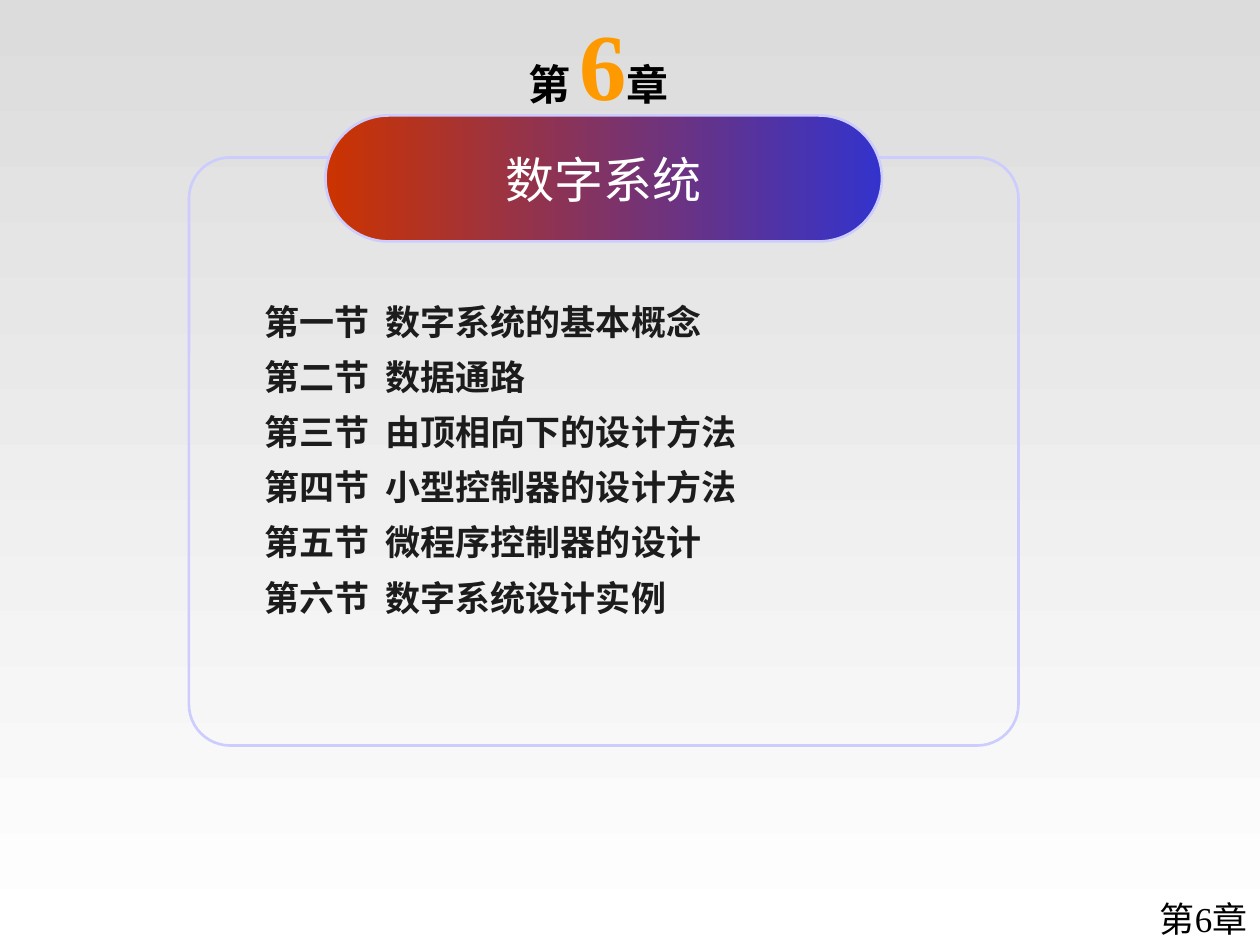
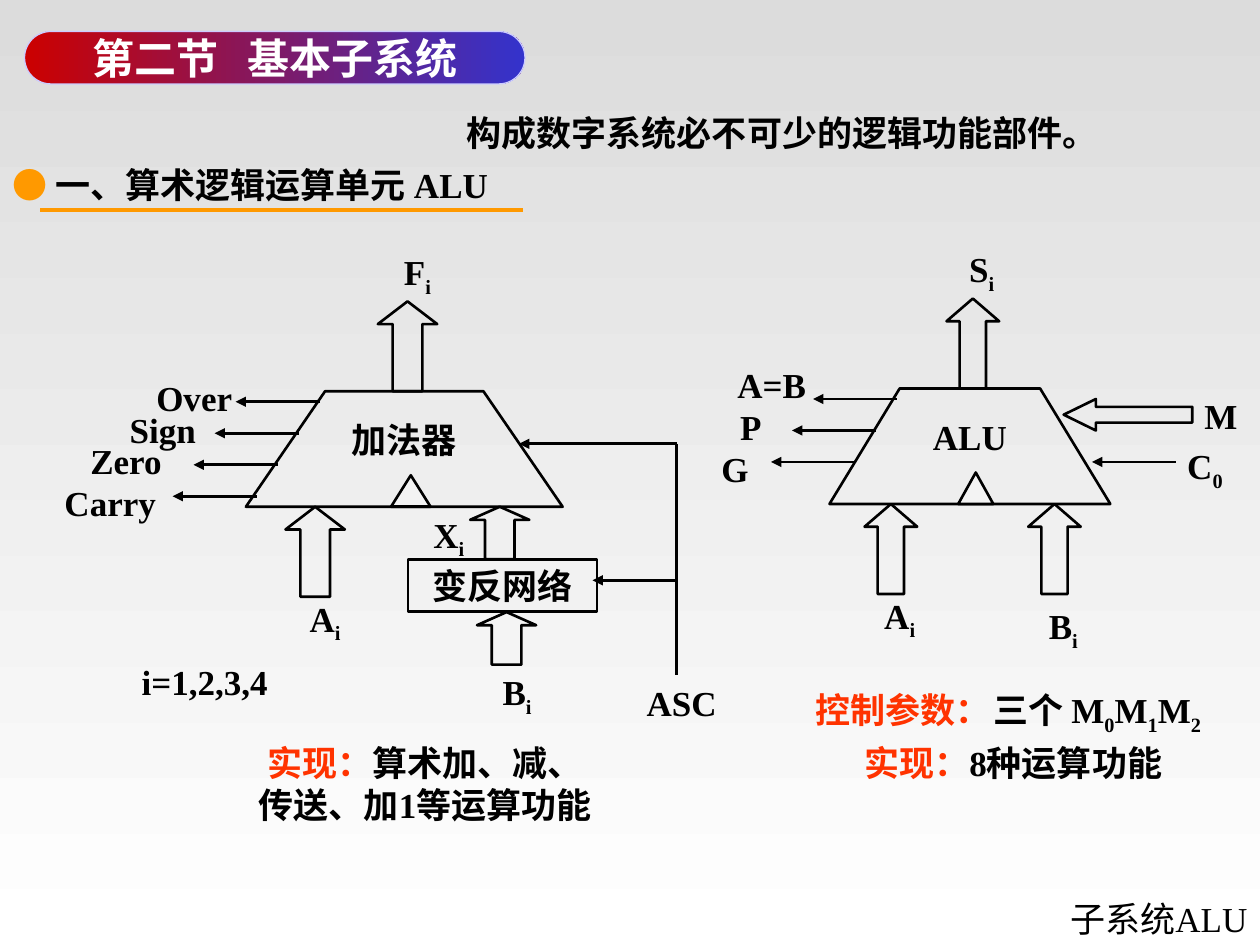
from dataclasses import dataclass

import pptx
import pptx.dml.color
import pptx.enum.shapes
import pptx.enum.text
import pptx.oxml.ns
import pptx.util
from lxml import etree

Pt = pptx.util.Pt
RGBColor = pptx.dml.color.RGBColor
Shape = pptx.enum.shapes.MSO_SHAPE
Align = pptx.enum.text.PP_ALIGN
Anchor = pptx.enum.text.MSO_ANCHOR

BLACK = RGBColor(0x00, 0x00, 0x00)
WHITE = RGBColor(0xFF, 0xFF, 0xFF)
SKY_TOP = RGBColor(0xDC, 0xDC, 0xDC)
INK = RGBColor(0x1C, 0x1C, 0x1C)
ORANGE = RGBColor(0xFF, 0x99, 0x00)
VERMILION = RGBColor(0xFF, 0x33, 0x00)
RUST = RGBColor(0xCC, 0x33, 0x00)
RED = RGBColor(0xCC, 0x00, 0x00)
BLUE = RGBColor(0x33, 0x33, 0xCC)
LAVENDER = RGBColor(0xCC, 0xCC, 0xFF)
CLOCK_GREY = RGBColor(0xF3, 0xF3, 0xF3)
SERIF = "Times New Roman"
SECTIONS = [
    "第一节  数字系统的基本概念",
    "第二节  数据通路",
    "第三节  由顶相向下的设计方法",
    "第四节  小型控制器的设计方法",
    "第五节  微程序控制器的设计",
    "第六节  数字系统设计实例",
]


@dataclass
class Span:
    text: str
    colour: RGBColor = None
    size: float = None
    bold: bool = None
    subscript: bool = False


def symbol(letter, index):
    return [Span(letter), Span(index, subscript=True)]


def set_font(font, size=20, colour=BLACK, bold=True, name=SERIF):
    font.name = name
    font.size = Pt(size)
    font.bold = bold
    font.color.rgb = colour


def set_gradient(fill, start, end, angle):
    fill.gradient()
    fill.gradient_angle = angle
    for stop, colour in zip(fill.gradient_stops, (start, end)):
        stop.color.rgb = colour


def place(shape, left, top, width, height):
    shape.left, shape.top = Pt(left), Pt(top)
    shape.width, shape.height = Pt(width), Pt(height)


def start_page(deck, layout, footer, left, width):
    page = deck.slides.add_slide(deck.slide_layouts[layout])
    set_gradient(page.background.fill, SKY_TOP, WHITE, 270)
    title = page.shapes.title
    place(title, left, 509.5, width, 30.5)
    title.text_frame.text = footer
    title.text_frame.auto_size = pptx.enum.text.MSO_AUTO_SIZE.NONE
    title.text_frame.vertical_anchor = Anchor.MIDDLE
    para = title.text_frame.paragraphs[0]
    para.alignment = Align.RIGHT
    set_font(para.font, bold=False)
    return page


def add_label(page, left, top, width, spans, height=32, align=Align.CENTER):
    if isinstance(spans, str):
        spans = [Span(spans)]
    box = page.shapes.add_textbox(Pt(left), Pt(top), Pt(width), Pt(height))
    box.text_frame.word_wrap = True
    para = box.text_frame.paragraphs[0]
    para.alignment = align
    set_font(para.font)
    for span in spans:
        run = para.add_run()
        run.text = span.text
        if span.colour is not None:
            run.font.color.rgb = span.colour
        if span.size is not None:
            run.font.size = Pt(span.size)
        if span.bold is not None:
            run.font.bold = span.bold
        if span.subscript:
            run._r.get_or_add_rPr().set("baseline", "-25000")


def outline(shape, colour=BLACK, width=1.5):
    shape.shadow.inherit = False
    shape.fill.background()
    shape.line.color.rgb = colour
    shape.line.width = Pt(width)


def add_outlined(page, kind, left, top, width, height, colour=BLACK, line_width=1.5):
    shape = page.shapes.add_shape(kind, Pt(left), Pt(top), Pt(width), Pt(height))
    outline(shape, colour, line_width)
    return shape


def write_inside(shape, text, **font):
    frame = shape.text_frame
    frame.vertical_anchor = Anchor.MIDDLE
    frame.word_wrap = False
    frame.text = text
    frame.paragraphs[0].alignment = Align.CENTER
    set_font(frame.paragraphs[0].font, **font)


def add_pill(page, left, top, width, height, text, start, line_width, **font):
    pill = add_outlined(page, Shape.ROUNDED_RECTANGLE, left, top, width, height,
                        LAVENDER, line_width)
    pill.adjustments[0] = 0.5
    set_gradient(pill.fill, start, BLUE, 0)
    frame = pill.text_frame
    frame.margin_left = frame.margin_right = frame.margin_top = frame.margin_bottom = 0
    write_inside(pill, text, colour=WHITE, **font)


def add_line(page, start, end, colour=BLACK, width=1.5, arrow=False):
    line = page.shapes.add_connector(
        pptx.enum.shapes.MSO_CONNECTOR.STRAIGHT, *map(Pt, (*start, *end)))
    line.line.color.rgb = colour
    line.line.width = Pt(width)
    if arrow:
        head = etree.SubElement(line.line._get_or_add_ln(), pptx.oxml.ns.qn("a:headEnd"))
        head.set("type", "triangle")
    etree.SubElement(line._element.spPr, pptx.oxml.ns.qn("a:effectLst"))


def add_block_arrow(page, kind, left, top, width, height, head):
    arrow = add_outlined(page, kind, left, top, width, height)
    arrow.adjustments[0] = 0.5
    arrow.adjustments[1] = head / min(width, height)


def add_unit(page, left, top, width, name, output):
    height, arrow_height, head = 66, 51.4, 13
    bottom = top + height
    arrow_width = width * 3 / 16

    def across(share):
        return left + width * share

    corners = [(left, bottom), (across(1 / 4), top),
               (across(3 / 4), top), (left + width, bottom)]
    points = [(Pt(x), Pt(y)) for x, y in corners]
    builder = page.shapes.build_freeform(*points[0])
    builder.add_line_segments(points[1:], close=True)
    outline(builder.convert_to_shape())

    clock_left, clock_width = across(11 / 24), width / 8
    clock = add_outlined(page, Shape.ISOSCELES_TRIANGLE,
                         clock_left, bottom - 18, clock_width, 18)
    clock.fill.solid()
    clock.fill.fore_color.rgb = CLOCK_GREY
    add_line(page, (clock_left, bottom), (clock_left + clock_width, bottom))

    for share, arrow_top in ((1 / 8, bottom), (5 / 12, top - arrow_height)):
        add_block_arrow(page, Shape.UP_ARROW, across(share), arrow_top,
                        arrow_width, arrow_height, head)
    add_label(page, across(1 / 8), bottom + 48, width / 4, symbol("A", "i"), 34.5)
    add_label(page, across(5 / 12), top - 84, width / 4, symbol(output, "i"), 34.5)
    add_label(page, across(7 / 24), top + 12, width * 5 / 12, name)


def add_flags(page, left, top, flags):
    for row, (text, label_left, label_top, label_width) in enumerate(flags):
        x, y = left - 12 * row, top + 18 * row
        add_line(page, (x, y), (x + 48, y), arrow=True)
        add_label(page, label_left, label_top, label_width, text)


def add_section_list(page):
    body = page.placeholders[1]
    place(body, 144, 168, 426, 189.5)
    frame = body.text_frame
    frame.auto_size = pptx.enum.text.MSO_AUTO_SIZE.NONE
    for number, section in enumerate(SECTIONS):
        para = frame.add_paragraph() if number else frame.paragraphs[0]
        para.text = section
        para.space_before = Pt(7.5 if number else 0)
        properties = para._p.get_or_add_pPr()
        properties.set("marL", "0")
        properties.set("indent", "0")
        etree.SubElement(properties, pptx.oxml.ns.qn("a:buNone"))
        set_font(para.font, colour=INK)


def build_chapter_page(deck):
    page = start_page(deck, 1, "第6章", 642, 78)
    add_section_list(page)
    add_label(page, 216, 0, 252,
              [Span("第 ", size=24), Span("6", ORANGE, 54), Span("章", size=24)], 72)
    frame = add_outlined(page, Shape.ROUNDED_RECTANGLE, 108, 90, 474, 336, LAVENDER)
    frame.adjustments[0] = 0.07
    add_pill(page, 186, 66, 318, 72, "数字系统", RUST, 1.5,
             size=28, bold=False, name="Arial")


def add_adder_diagram(page):
    add_unit(page, 140.5, 223.6, 181, "加法器", "F")
    add_flags(page, 134.6, 229.6, [
        ("Over", 78, 211.6, 66),
        ("Sign", 66, 229.6, 54),
        ("Zero", 42, 247.6, 60),
        ("Carry", 24, 271.6, 78),
    ])
    for left, top in ((268.7, 289.6), (272.6, 349.8)):
        add_block_arrow(page, Shape.UP_ARROW, left, top, 33.8, 30, 7.5)
    inverter = add_outlined(page, Shape.RECTANGLE, 233.2, 319.6, 108, 30)
    write_inside(inverter, "变反网络")
    for left, y in ((296.6, 253.6), (338.6, 331.6)):
        add_line(page, (left, y), (386.6, y), arrow=True)
    add_line(page, (386.6, 253.6), (386.6, 385.6))
    add_label(page, 234, 289.6, 45, symbol("X", "i"), 34.5)
    add_label(page, 273, 379.6, 45, symbol("B", "i"), 34.5)
    add_label(page, 350.6, 385.6, 78, "ASC")
    add_label(page, 72, 373.6, 90, "i=1,2,3,4")


def add_alu_diagram(page):
    add_unit(page, 474, 222, 160.5, "ALU", "S")
    add_flags(page, 464.6, 228, [
        ("A=B", 408, 204, 66),
        ("P", 402, 228, 54),
        ("G", 390, 252, 60),
    ])
    add_block_arrow(page, Shape.UP_ARROW, 587.6, 288, 30, 51.4, 13)
    add_label(page, 587.6, 342, 40, symbol("B", "i"), 34.5)
    add_block_arrow(page, Shape.LEFT_ARROW, 607.8, 228, 73.5, 18, 18.4)
    add_label(page, 681.2, 222, 26.6, "M")
    add_line(page, (624, 264), (672, 264), arrow=True)
    add_label(page, 667.6, 250.6, 42, symbol("C", "0"), 34.5)


def build_alu_page(deck):
    page = start_page(deck, 5, "子系统ALU", 582, 138)
    add_pill(page, 14, 18, 286, 30, "第二节   基本子系统", RED, 0.75, size=24)
    add_label(page, 0, 90, 414,
              [Span("● ", ORANGE, bold=False), Span("一、算术逻辑运算单元 ALU")],
              align=Align.LEFT)
    add_line(page, (23, 120), (299, 120), ORANGE, 2.25)
    add_label(page, 252, 60, 390, "构成数字系统必不可少的逻辑功能部件。")
    add_adder_diagram(page)
    add_alu_diagram(page)
    add_label(page, 474, 420, 210, [Span("实现：", VERMILION), Span("8种运算功能")])
    add_label(page, 456, 390, 120, [Span("控制参数：", VERMILION)])
    add_label(page, 552, 390, 150,
              [Span("三个 M"), Span("0", subscript=True),
               *symbol("M", "1"), *symbol("M", "2")], 34.5)
    add_label(page, 138, 420, 210,
              [Span("实现：", VERMILION), Span("算术加、减、传送、加1等运算功能")], 79)


def main():
    deck = pptx.Presentation()
    deck.slide_width, deck.slide_height = Pt(720), Pt(540)
    build_chapter_page(deck)
    build_alu_page(deck)
    deck.save("out.pptx")


if __name__ == "__main__":
    main()
